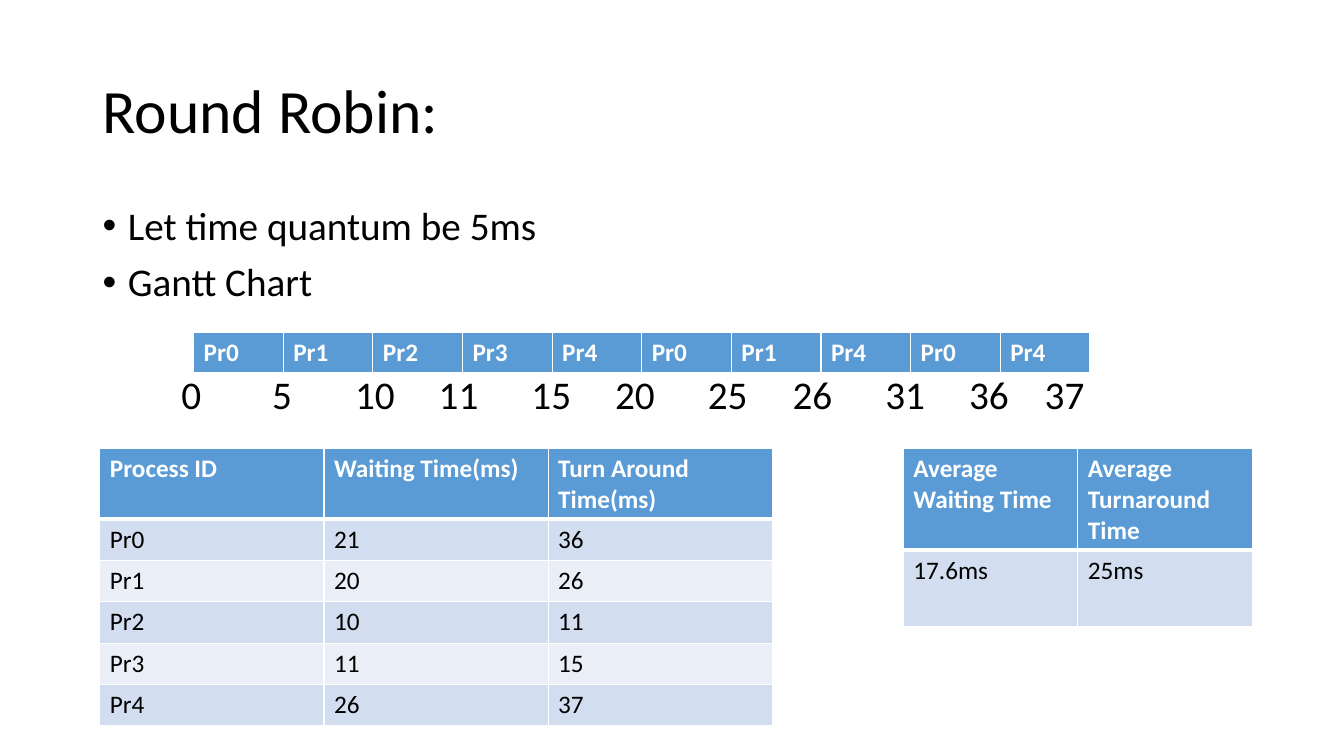
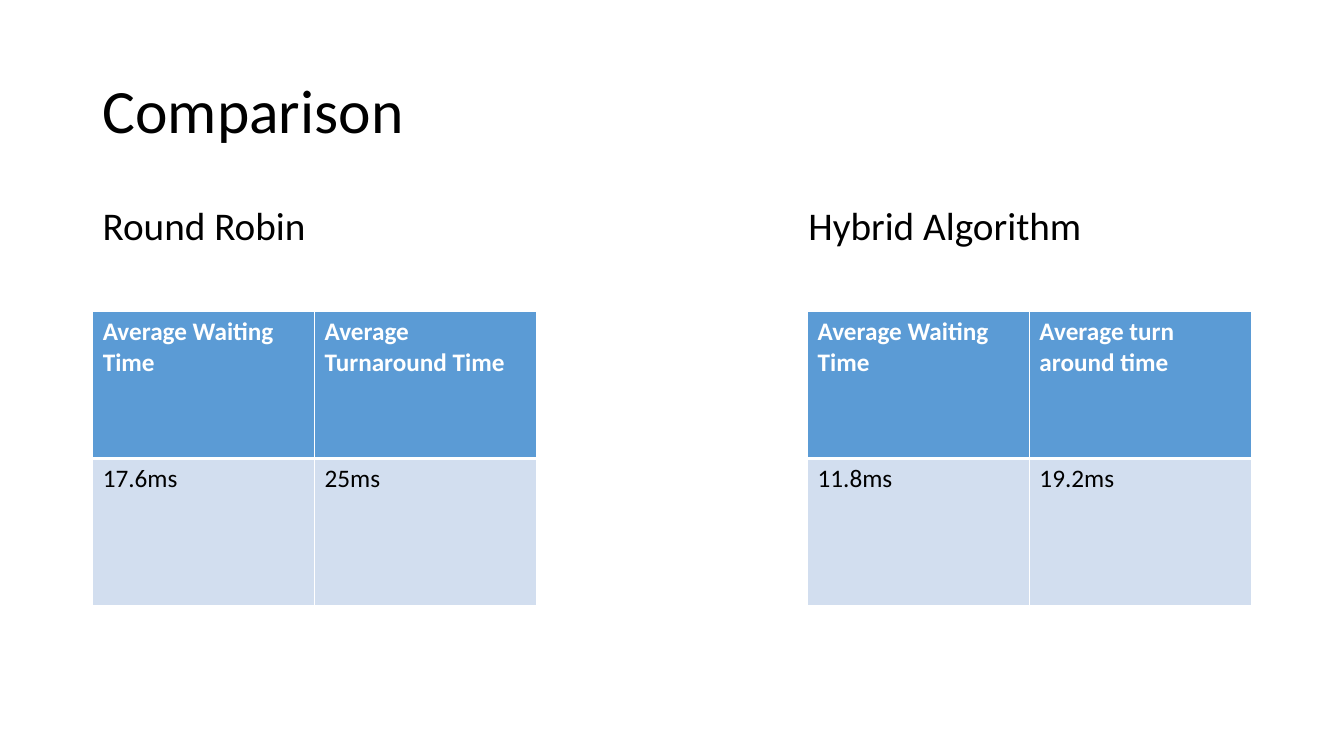
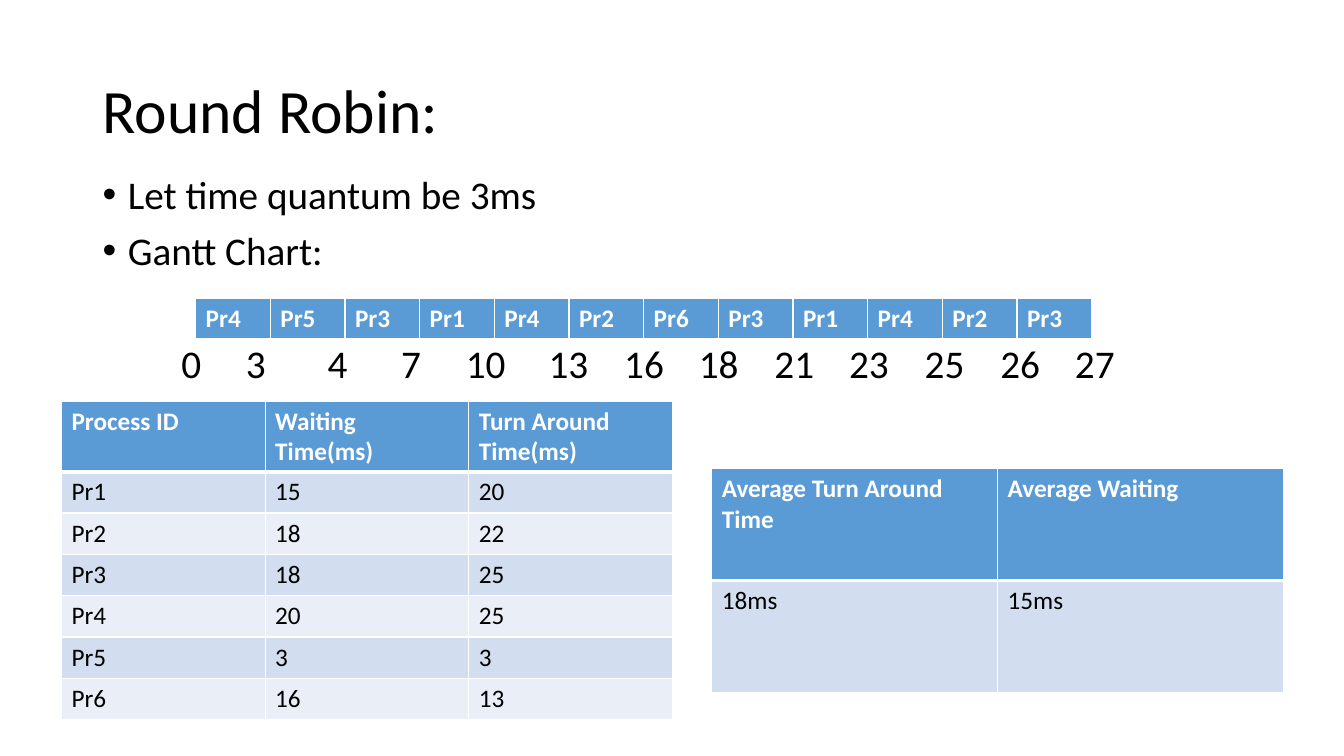
from dataclasses import dataclass

from lxml import etree
from pptx import Presentation
from pptx.dml.color import RGBColor
from pptx.enum.text import MSO_ANCHOR
from pptx.oxml.ns import qn
from pptx.util import Inches, Pt

MIDDLE = MSO_ANCHOR.MIDDLE
BLANK_LAYOUT = 6


@dataclass(frozen=True)
class Theme:
    """Colours, font, type sizes and shared measures of the deck."""
    font: str = "Calibri"
    ink: str = "000000"
    white: str = "FFFFFF"
    header: str = "5B9BD5"
    bands: tuple = ("D2DEEF", "EAEFF7")
    title_size: int = 44
    body_size: int = 28
    cell_size: int = 18
    thin: int = 1
    thick: int = 3
    margin: float = 0.92
    text_left: float = 1.02
    row: float = 0.41


theme = Theme()


def write_text(para, text, size=theme.body_size, color=theme.ink, bold=False,
               line=0.9, before=0, bullet=False, tabs=(), tab_align="ctr"):
    """Write one formatted run; tabs are distances from the left of the slide."""
    para.line_spacing = line
    para.space_before = Pt(before)
    properties = para._p.get_or_add_pPr()
    if bullet:
        properties.set("marL", str(Inches(0.25)))
        properties.set("indent", str(-Inches(0.25)))
        etree.SubElement(properties, qn("a:buFont"), typeface="Arial")
        etree.SubElement(properties, qn("a:buChar"), char="•")
    if tabs:
        stops = etree.SubElement(properties, qn("a:tabLst"))
        for tab in tabs:
            etree.SubElement(stops, qn("a:tab"), algn=tab_align,
                             pos=str(Inches(tab - theme.text_left)))
    span = para.add_run()
    span.text = text
    span.font.name = theme.font
    span.font.size = Pt(size)
    span.font.bold = bold
    span.font.color.rgb = RGBColor.from_string(color)


def add_grid(page, left, top, width, heights, rows):
    """Add a table with a blue header row, banded rows and white rules."""
    columns = len(rows[0])
    frame = page.shapes.add_table(len(rows), columns, Inches(left), Inches(top),
                                  Inches(width), Inches(sum(heights)))
    table = frame.table
    for column in table.columns:
        column.width = Inches(width / columns)
    for index, (values, height) in enumerate(zip(rows, heights)):
        table.rows[index].height = Inches(height)
        is_header = index == 0
        fill = theme.header if is_header else theme.bands[(index - 1) % 2]
        rules = {"lnL": theme.thin, "lnR": theme.thin,
                 "lnT": theme.thick if index == 1 else theme.thin,
                 "lnB": theme.thick if is_header else theme.thin}
        for column, value in enumerate(values):
            cell = table.cell(index, column)
            cell.fill.solid()
            cell.fill.fore_color.rgb = RGBColor.from_string(fill)
            write_text(cell.text_frame.paragraphs[0], value, theme.cell_size,
                       theme.white if is_header else theme.ink, is_header, line=1.0)
            properties = cell._tc.get_or_add_tcPr()
            for place, (side, points) in enumerate(rules.items()):
                rule = etree.Element(qn(f"a:{side}"), w=str(Pt(points)))
                paint = etree.SubElement(rule, qn("a:solidFill"))
                etree.SubElement(paint, qn("a:srgbClr"), val=theme.white)
                properties.insert(place, rule)


process_header = ("Process ID", "Waiting Time(ms)", "Turn Around Time(ms)")

# Each text line is (text, format); each grid is (left, top, width, heights, rows).
slides = [
    {
        "title": "Round Robin:",
        "body_top": 2.0,
        "lines": [
            ("Let time quantum be 5ms", {"bullet": True}),
            ("Gantt Chart", {"bullet": True}),
            ("\t0\t5\t10\t11\t15\t20\t25\t26\t31\t36\t37",
             {"before": 50.5, "tabs": (1.9, 2.8, 3.72, 4.55, 5.47, 6.3, 7.22,
                                       8.06, 8.98, 9.81, 10.56)}),
        ],
        "grids": [
            (0.99, 4.45, 6.67, [0.7] + [theme.row] * 5,
             [process_header, ("Pr0", "21", "36"), ("Pr1", "20", "26"),
              ("Pr2", "10", "11"), ("Pr3", "11", "15"), ("Pr4", "26", "37")]),
            (1.92, 3.3, 8.89, [theme.row],
             ["Pr0 Pr1 Pr2 Pr3 Pr4 Pr0 Pr1 Pr4 Pr0 Pr4".split()]),
            (8.96, 4.45, 3.46, [1.01, 0.76],
             [("Average Waiting Time", "Average Turnaround Time"),
              ("17.6ms", "25ms")]),
        ],
    },
    {
        "title": "Comparison",
        "body_top": 2.0,
        "lines": [("Round Robin\tHybrid Algorithm",
                   {"tabs": (8.02,), "tab_align": "l"})],
        "grids": [
            (0.92, 3.09, 4.4, [1.46] * 2,
             [("Average Waiting Time", "Average Turnaround Time"),
              ("17.6ms", "25ms")]),
            (8.01, 3.09, 4.4, [1.46] * 2,
             [("Average Waiting Time", "Average turn around time"),
              ("11.8ms", "19.2ms")]),
        ],
    },
    {
        "title": "Round Robin:",
        "body_top": 1.69,
        "lines": [
            ("Let time quantum be 3ms", {"bullet": True}),
            ("Gantt Chart:", {"bullet": True}),
            ("\t0\t3\t4\t7\t10\t13\t16\t18\t21\t23\t25\t26\t27",
             {"before": 50.5, "tabs": (1.9, 2.54, 3.35, 4.08, 4.82, 5.64, 6.39,
                                       7.13, 7.88, 8.62, 9.37, 10.12, 10.86)}),
        ],
        "grids": [
            (1.94, 2.96, 8.89, [theme.row],
             ["Pr4 Pr5 Pr3 Pr1 Pr4 Pr2 Pr6 Pr3 Pr1 Pr4 Pr2 Pr3".split()]),
            (0.61, 3.98, 6.06, [0.7] + [theme.row] * 6,
             [process_header, ("Pr1", "15", "20"), ("Pr2", "18", "22"),
              ("Pr3", "18", "25"), ("Pr4", "20", "25"), ("Pr5", "3", "3"),
              ("Pr6", "16", "13")]),
            (7.06, 4.65, 5.67, [1.11] * 2,
             [("Average Turn Around Time", "Average Waiting"), ("18ms", "15ms")]),
        ],
    },
]

deck = Presentation()
deck.slide_width = Inches(13.33)
deck.slide_height = Inches(7.5)

for content in slides:
    page = deck.slides.add_slide(deck.slide_layouts[BLANK_LAYOUT])
    title_box = page.shapes.add_textbox(Inches(theme.margin), Inches(0.4),
                                        Inches(11.5), Inches(1.45))
    title_box.text_frame.word_wrap = True
    title_box.text_frame.vertical_anchor = MIDDLE
    write_text(title_box.text_frame.paragraphs[0], content["title"], theme.title_size)

    body_box = page.shapes.add_textbox(Inches(theme.margin), Inches(content["body_top"]),
                                       Inches(11.5), Inches(4.76))
    body = body_box.text_frame
    body.word_wrap = True
    for number, (text, style) in enumerate(content["lines"]):
        para = body.add_paragraph() if number else body.paragraphs[0]
        write_text(para, text, **{"before": 10, **style})

    for grid in content["grids"]:
        add_grid(page, *grid)

deck.save("out.pptx")
